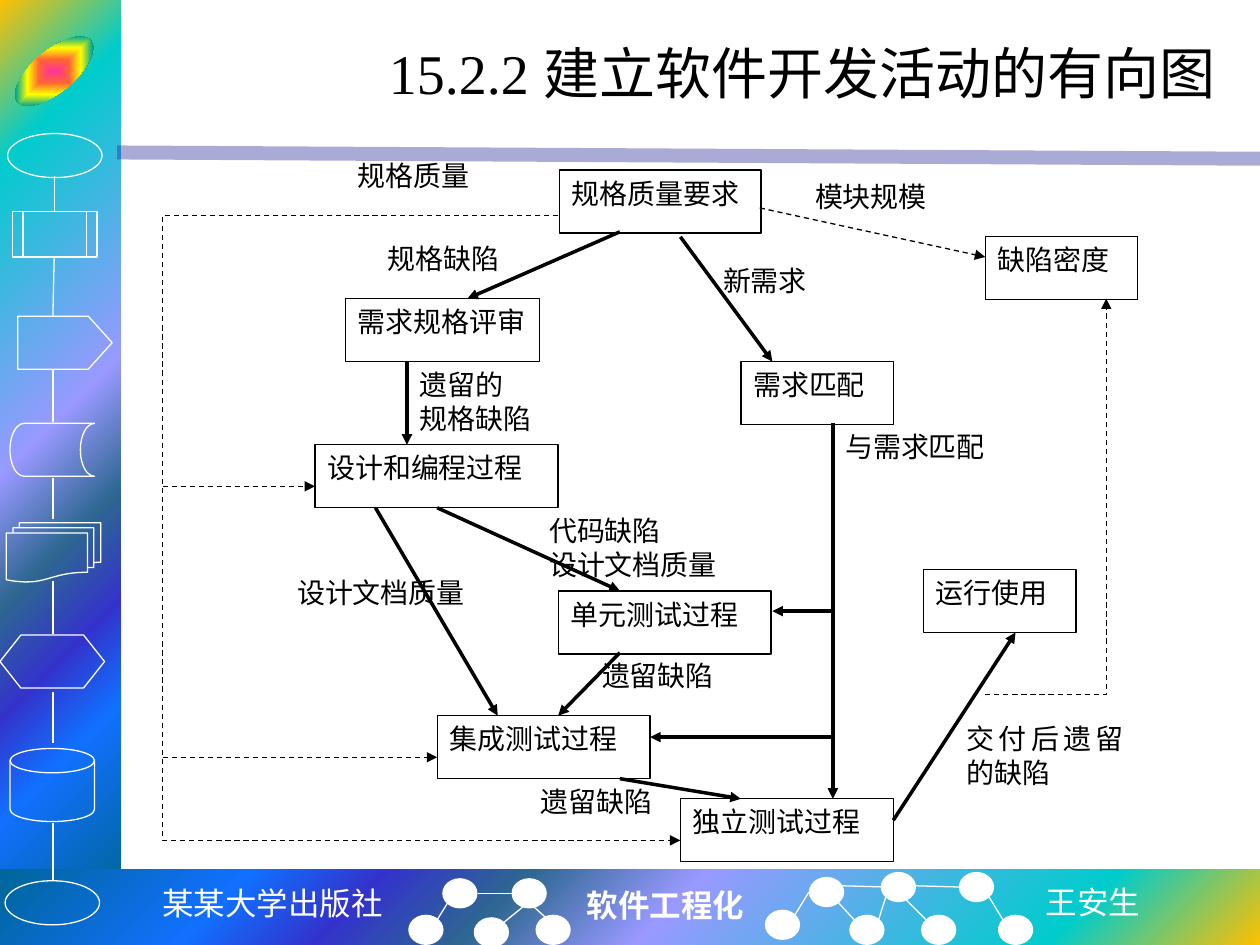
from lxml import etree
from pptx import Presentation
from pptx.dml.color import RGBColor
from pptx.enum.dml import MSO_LINE
from pptx.enum.shapes import MSO_CONNECTOR, MSO_SHAPE
from pptx.enum.text import MSO_ANCHOR, PP_ALIGN
from pptx.oxml import parse_xml
from pptx.oxml.ns import nsdecls, qn
from pptx.util import Inches, Pt

BLACK = RGBColor(0x00, 0x00, 0x00)
WHITE = RGBColor(0xFF, 0xFF, 0xFF)
BAR_BLUE = RGBColor(0x26, 0x26, 0x99)
DASH = MSO_LINE.DASH
STRAIGHT = MSO_CONNECTOR.STRAIGHT
ELLIPSE, RECTANGLE = MSO_SHAPE.OVAL, MSO_SHAPE.RECTANGLE
TOP, MIDDLE = MSO_ANCHOR.TOP, MSO_ANCHOR.MIDDLE
LEFT, RIGHT, JUSTIFY = PP_ALIGN.LEFT, PP_ALIGN.RIGHT, PP_ALIGN.JUSTIFY

TITLE = "15.2.2 建立软件开发活动的有向图"

# Gradient stops: (percent, colour)
FRAME_STOPS = [(0, "FFC000"), (16, "00CCCC"), (47, "9999FF"), (60, "2E6792"),
               (71, "3333CC"), (81, "1170FF"), (100, "006699")]
BADGE_STOPS = [(0, "FF3399"), (25, "FF6633"), (50, "FFFF00"), (75, "01A78F"), (100, "3366FF")]

# Sidebar flowchart symbols: (preset, left, top, width, height)
SYMBOLS = [
    (ELLIPSE, 0.06, 1.06, 0.75, 0.35),
    (MSO_SHAPE.FLOWCHART_PREDEFINED_PROCESS, 0.1, 1.68, 0.67, 0.36),
    (MSO_SHAPE.PENTAGON, 0.14, 2.51, 0.75, 0.42),
    (MSO_SHAPE.FLOWCHART_STORED_DATA, 0.08, 3.36, 0.67, 0.42),
    (MSO_SHAPE.FLOWCHART_MULTIDOCUMENT, 0.05, 4.15, 0.75, 0.47),
    (MSO_SHAPE.FLOWCHART_PREPARATION, 0, 5.04, 0.83, 0.42),
    (MSO_SHAPE.FLOWCHART_MAGNETIC_DISK, 0.08, 5.94, 0.67, 0.58),
    (ELLIPSE, 0.04, 6.99, 0.75, 0.35),
]
# Lines as (x1, y1, x2, y2)
SYMBOL_LINKS = [
    (0.43, 1.4, 0.43, 1.68), (0.43, 2.05, 0.42, 2.51), (0.42, 2.93, 0.42, 3.35),
    (0.42, 3.79, 0.42, 4.12), (0.42, 4.61, 0.42, 5.03), (0.42, 5.49, 0.42, 5.9),
    (0.42, 6.53, 0.42, 6.99),
]
# Footer: (text, left, top, width, font, bold)
FOOTERS = [
    ("某某大学出版社", 1.19, 6.97, 1.97, "Noto Sans Mono", False),
    ("软件工程化", 4.56, 6.98, 1.46, "Times New Roman", True),
    ("王安生", 8.2, 6.96, 0.96, "Noto Sans CJK SC", False),
]
TREE_NODES = [
    (3.51, 6.97), (4.06, 6.97), (3.24, 7.26), (3.76, 7.28), (4.25, 7.26),
    (6.42, 6.96), (6.99, 6.92), (7.61, 6.92), (6.07, 7.22), (6.74, 7.26),
    (7.31, 7.26), (7.92, 7.26),
]
TREE_LINKS = [
    (3.47, 7.3, 3.55, 7.17), (4, 7.32, 4.16, 7.19), (4.06, 7.09, 3.79, 7.09),
    (4.34, 7.29, 4.24, 7.2), (6.78, 7.3, 6.65, 7.16), (7.35, 7.3, 7.15, 7.1),
    (7.96, 7.3, 7.85, 7.12), (6.97, 7.31, 7.03, 7.12), (7.26, 7.03, 7.61, 7.04),
    (6.31, 7.26, 6.42, 7.08), (6.68, 7.03, 7.03, 7.04),
]

# Activity boxes: (text, left, top, width)
BOX_HEIGHT = 0.5
ACTIVITIES = [
    ("规格质量要求", 4.44, 1.35, 1.6), ("缺陷密度", 7.82, 1.88, 1.21),
    ("需求规格评审", 2.74, 2.37, 1.54), ("需求匹配", 5.88, 2.87, 1.21),
    ("设计和编程过程", 2.5, 3.53, 1.93), ("单元测试过程", 4.43, 4.69, 1.69),
    ("集成测试过程", 3.47, 5.68, 1.69), ("独立测试过程", 5.4, 6.34, 1.69),
    ("运行使用", 7.33, 4.52, 1.21),
]
# Arrow labels: (text, left, top, width, height)
LABELS = [
    ("规格质量", 2.74, 1.21, 1.45, 0.5), ("模块规模", 6.37, 1.38, 1.45, 0.5),
    ("规格缺陷", 2.98, 1.87, 1.45, 0.5), ("新需求", 5.64, 2.04, 1.45, 0.5),
    ("遗留的\n规格缺陷", 3.23, 2.87, 1.45, 0.66), ("与需求匹配", 6.61, 3.36, 1.45, 0.5),
    ("代码缺陷\n设计文档质量", 4.26, 4.03, 1.69, 0.66),
    ("设计文档质量", 2.26, 4.52, 1.69, 0.5), ("遗留缺陷", 4.68, 5.18, 1.45, 0.5),
    ("遗留缺陷", 4.19, 6.18, 1.45, 0.5), ("交付后遗留的缺陷", 7.57, 5.68, 1.45, 0.66),
]
SOLID_ARROWS = [
    (4.92, 1.84, 3.71, 2.37), (5.4, 1.88, 6.13, 2.87), (3.23, 2.87, 3.23, 3.53),
    (3.47, 4.03, 4.92, 4.69), (2.98, 4.03, 3.95, 5.68), (4.92, 5.18, 4.43, 5.68),
    (4.92, 6.18, 5.88, 6.34), (7.09, 6.51, 8.06, 5.02), (6.61, 3.36, 6.61, 6.34),
    (6.61, 4.85, 6.13, 4.85), (6.61, 5.85, 5.16, 5.85),
]
DASHED_ARROWS = [
    (6.03, 1.65, 7.82, 2.04), (1.29, 3.86, 2.5, 3.86), (1.29, 6.01, 3.47, 6.01),
]
DASHED_PATHS = [
    [(7.82, 5.51), (8.78, 5.51), (8.78, 2.37)],
    [(4.43, 1.71), (1.29, 1.71), (1.29, 6.67), (5.4, 6.67)],
]


def set_line(line, color, width, dash=None, arrow=False):
    line.color.rgb = color
    line.width = Pt(width)
    if dash:
        line.dash_style = dash
    if arrow:
        etree.SubElement(line._get_or_add_ln(), qn("a:tailEnd"), type="triangle")


def add_line(shapes, ends, color, width, dash=None, arrow=False):
    connector = shapes.add_connector(STRAIGHT, *map(Inches, ends))
    set_line(connector.line, color, width, dash, arrow)
    etree.SubElement(connector._element.spPr, qn("a:effectLst"))
    return connector


def add_outline(shapes, preset, box, color=WHITE):
    shape = shapes.add_shape(preset, *map(Inches, box))
    shape.shadow.inherit = False
    shape.fill.background()
    set_line(shape.line, color, 0.75)
    return shape


def set_gradient(shape, stops, kind, focus):
    """Fill with a path gradient; focus holds left, top, right, bottom in percent."""
    stop_xml = "".join(f'<a:gs pos="{position * 1000}"><a:srgbClr val="{color}"/></a:gs>'
                       for position, color in stops)
    sides = " ".join(f'{side}="{value * 1000}"' for side, value in zip("ltrb", focus))
    gradient = parse_xml(
        f'<a:gradFill {nsdecls("a")} rotWithShape="1"><a:gsLst>{stop_xml}</a:gsLst>'
        f'<a:path path="{kind}"><a:fillToRect {sides}/></a:path></a:gradFill>')
    properties = shape._element.spPr
    properties.replace(properties.find(qn("a:noFill")), gradient)


def set_text(shape, text, size, font, color, align, anchor=TOP, bold=False, wrap=True):
    frame = shape.text_frame
    frame.text = text
    frame.word_wrap = wrap
    frame.vertical_anchor = anchor
    for paragraph in frame.paragraphs:
        paragraph.alignment = align
        for run in paragraph.runs:
            run.font.size = Pt(size)
            run.font.name = font
            run.font.bold = bold
            run.font.color.rgb = color


def add_frame(shapes):
    """Draw the gradient sidebar and footer with their decorations."""
    for box, focus in [((0, 0, 0.96, 7.09), (0, 0, 100, 100)),
                       ((0, 6.9, 10, 0.6), (100, 100, 0, 0))]:
        band = add_outline(shapes, RECTANGLE, box)
        set_gradient(band, FRAME_STOPS, "circle", focus)
        band.line.fill.background()
    bar = add_line(shapes, (0.93, 1.21, 10, 1.26), BAR_BLUE, 8)
    bar_color = bar._element.spPr.find(".//" + qn("a:srgbClr"))
    etree.SubElement(bar_color, qn("a:alpha"), val="39000")

    badge = add_outline(shapes, ELLIPSE, (0.05, 0.4, 0.76, 0.33))
    set_gradient(badge, BADGE_STOPS, "shape", (50, 50, 50, 50))
    badge.line.fill.background()
    badge.rotation = -40

    for preset, *box in SYMBOLS:
        symbol = add_outline(shapes, preset, box)
        if preset == MSO_SHAPE.PENTAGON:
            symbol.adjustments[0] = 0.45
    for ends in SYMBOL_LINKS + TREE_LINKS:
        add_line(shapes, ends, WHITE, 0.75)
    for left, top in TREE_NODES:
        node = add_outline(shapes, ELLIPSE, (left, top, 0.28, 0.24))
        node.fill.solid()
        node.fill.fore_color.rgb = WHITE
        node.line.fill.background()
    for text, left, top, width, font, bold in FOOTERS:
        footer = shapes.add_textbox(*map(Inches, (left, top, width, 0.4)))
        set_text(footer, text, 18, font, WHITE, LEFT, bold=bold, wrap=False)


def add_graph(shapes):
    for text, left, top, width in ACTIVITIES:
        activity = add_outline(shapes, RECTANGLE, (left, top, width, BOX_HEIGHT), BLACK)
        set_text(activity, text, 16, "Calibri", BLACK, JUSTIFY)
    for text, *box in LABELS:
        label = shapes.add_textbox(*map(Inches, box))
        set_text(label, text, 16, "Calibri", BLACK, JUSTIFY)
    for ends in SOLID_ARROWS:
        add_line(shapes, ends, BLACK, 2, arrow=True)
    for ends in DASHED_ARROWS:
        add_line(shapes, ends, BLACK, 0.75, DASH, arrow=True)
    for points in DASHED_PATHS:
        start, *rest = [(Inches(x), Inches(y)) for x, y in points]
        builder = shapes.build_freeform(*start)
        builder.add_line_segments(rest, close=False)
        path_shape = builder.convert_to_shape()
        path_shape.shadow.inherit = False
        path_shape.fill.background()
        set_line(path_shape.line, BLACK, 0.75, DASH, arrow=True)


def main():
    presentation = Presentation()
    presentation.slide_width, presentation.slide_height = Inches(10), Inches(7.5)
    slide = presentation.slides.add_slide(presentation.slide_layouts[5])
    title = slide.shapes.title
    title.left, title.top, title.width, title.height = map(Inches, (1.25, 0.17, 8.5, 0.81))
    set_text(title, TITLE, 32, "Times New Roman", BLACK, RIGHT, MIDDLE)
    add_frame(slide.shapes)
    add_graph(slide.shapes)
    presentation.save("out.pptx")


if __name__ == "__main__":
    main()
